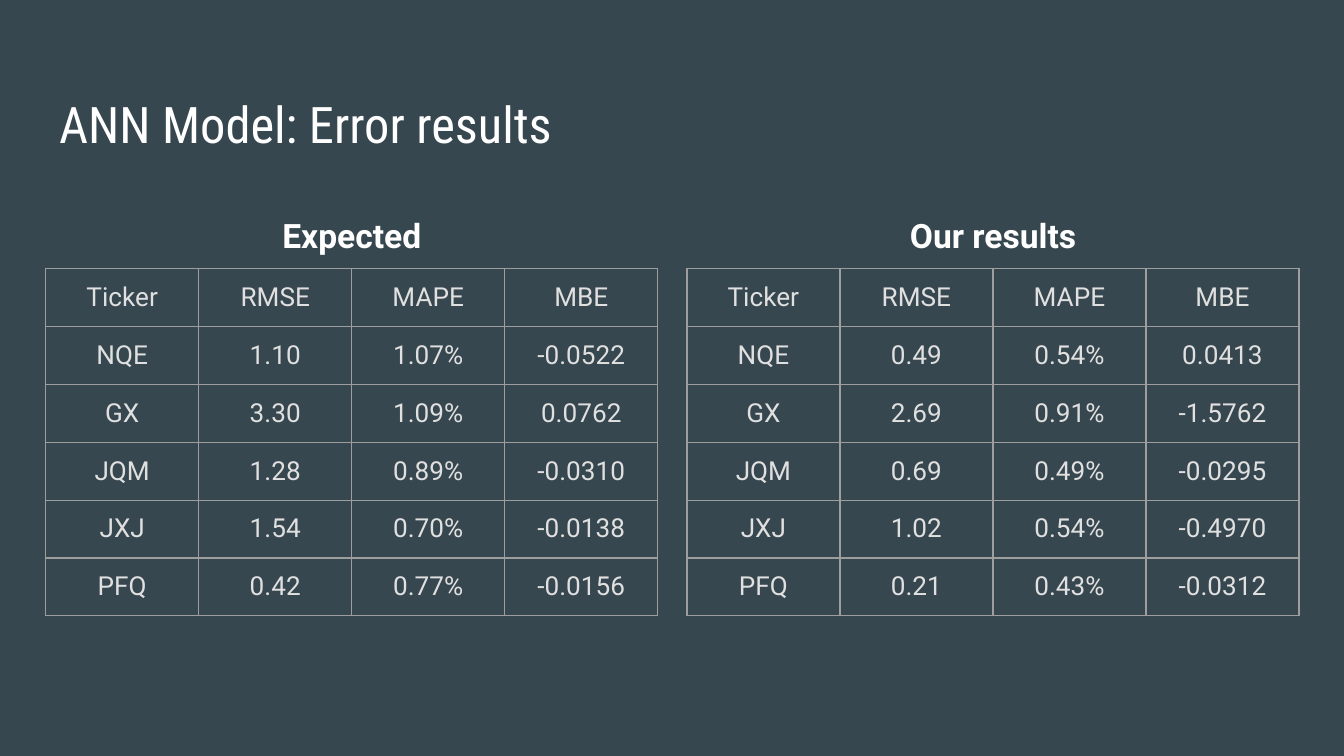
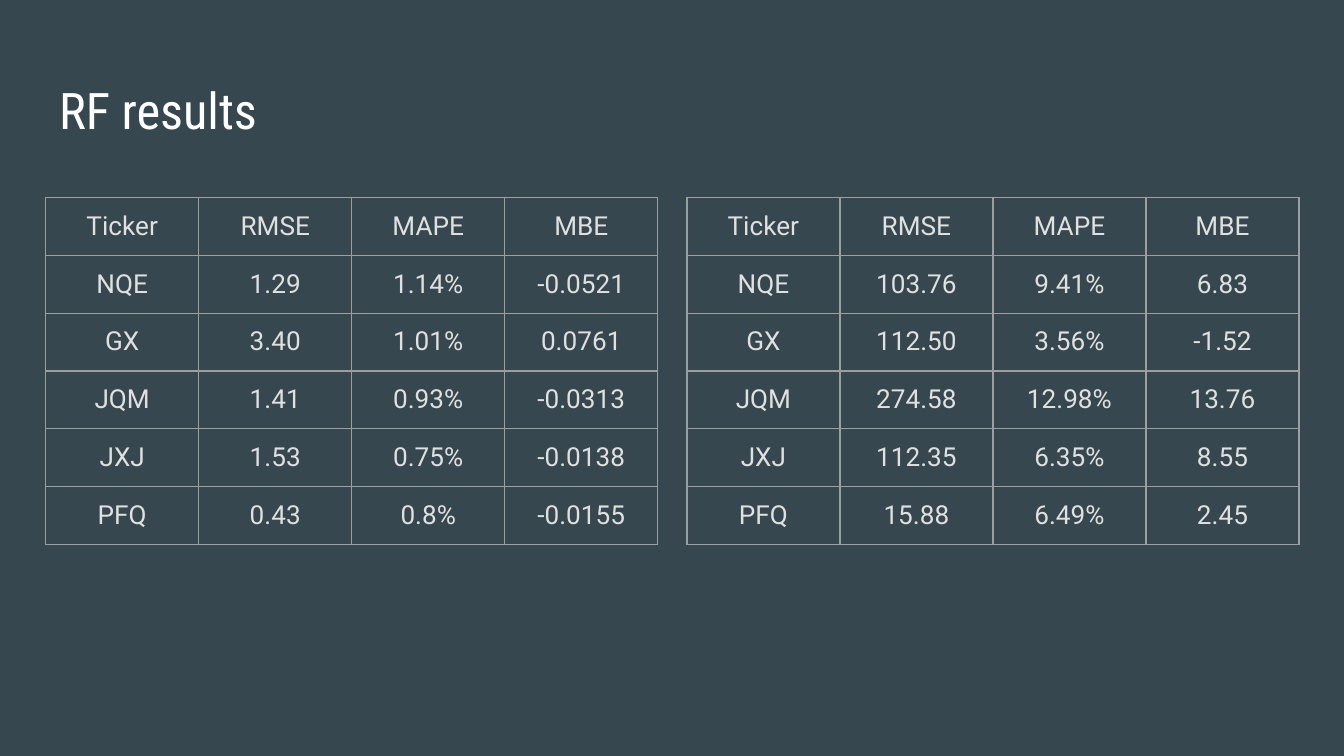
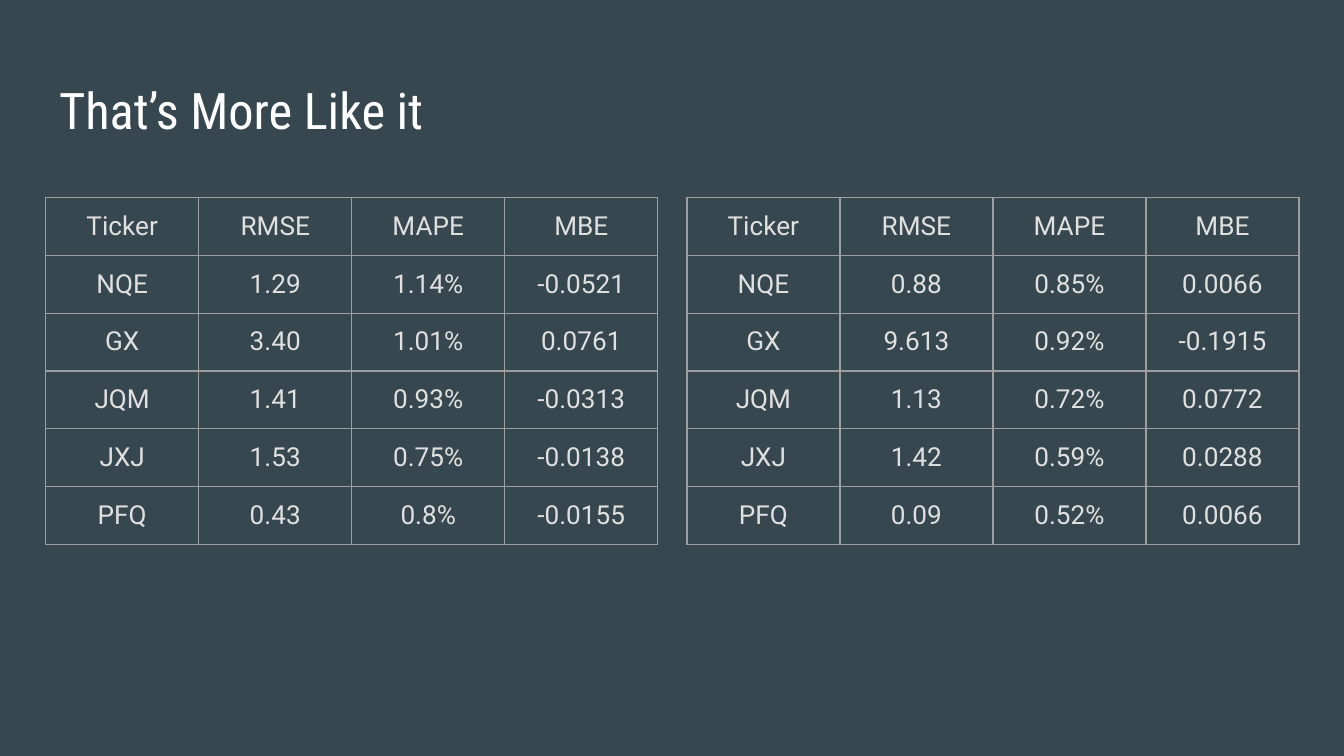
from dataclasses import dataclass

from lxml.etree import SubElement
from pptx import Presentation
from pptx.dml.color import RGBColor as RGB
from pptx.enum.text import MSO_ANCHOR as Anchor
from pptx.enum.text import MSO_AUTO_SIZE as AutoSize
from pptx.enum.text import PP_ALIGN as Align
from pptx.oxml.ns import qn
from pptx.util import Pt


@dataclass(frozen=True)
class Theme:
    background: str = "37474F"
    white: str = "FFFFFF"
    cell_text: str = "E0E0E0"
    border: str = "9E9E9E"
    title_font: str = "Roboto Condensed"
    body_font: str = "Roboto"
    title_size: float = 27
    heading_size: float = 18
    cell_size: float = 14
    border_width: float = 0.75
    inset: float = 7.2


THEME = Theme()

# Layout, in points
SLIDE_W, SLIDE_H = 720, 405
MARGIN = 24.5
COL_W, ROW_H = 82, 31
TABLE_W = 4 * COL_W
TABLE_LEFTS = (MARGIN, SLIDE_W - MARGIN - TABLE_W + 0.5)
TITLE_H, HEADING_H = 45, 36

# Error measures per ticker
HEADER = ("Ticker", "RMSE", "MAPE", "MBE")
TICKERS = ("NQE", "GX", "JQM", "JXJ", "PFQ")

ANN_EXPECTED = (
    ("1.10", "1.07%", "-0.0522"),
    ("3.30", "1.09%", "0.0762"),
    ("1.28", "0.89%", "-0.0310"),
    ("1.54", "0.70%", "-0.0138"),
    ("0.42", "0.77%", "-0.0156"),
)
ANN_OURS = (
    ("0.49", "0.54%", "0.0413"),
    ("2.69", "0.91%", "-1.5762"),
    ("0.69", "0.49%", "-0.0295"),
    ("1.02", "0.54%", "-0.4970"),
    ("0.21", "0.43%", "-0.0312"),
)
RF_EXPECTED = (
    ("1.29", "1.14%", "-0.0521"),
    ("3.40", "1.01%", "0.0761"),
    ("1.41", "0.93%", "-0.0313"),
    ("1.53", "0.75%", "-0.0138"),
    ("0.43", "0.8%", "-0.0155"),
)
RF_FIRST = (
    ("103.76", "9.41%", "6.83"),
    ("112.50", "3.56%", "-1.52"),
    ("274.58", "12.98%", "13.76"),
    ("112.35", "6.35%", "8.55"),
    ("15.88", "6.49%", "2.45"),
)
RF_IMPROVED = (
    ("0.88", "0.85%", "0.0066"),
    ("9.613", "0.92%", "-0.1915"),
    ("1.13", "0.72%", "0.0772"),
    ("1.42", "0.59%", "0.0288"),
    ("0.09", "0.52%", "0.0066"),
)


def set_text(tf, text, font, size, color, align=Align.CENTER, bold=False):
    """Fill a text frame with one formatted paragraph."""
    tf.text = text
    p = tf.paragraphs[0]
    p.alignment = align
    f = p.runs[0].font
    f.name, f.size, f.bold = font, Pt(size), bold
    f.color.rgb = RGB.from_string(color)


def set_insets(box):
    """Give a text frame or table cell equal insets."""
    box.margin_left = box.margin_right = Pt(THEME.inset)
    box.margin_top = box.margin_bottom = Pt(THEME.inset)


def add_slide(prs, title, top):
    """Add a slide with its title placeholder set."""
    s = prs.slides.add_slide(prs.slide_layouts[5])
    sp = s.shapes.title
    sp.left, sp.top = Pt(MARGIN), Pt(top)
    sp.width, sp.height = Pt(SLIDE_W - 2 * MARGIN), Pt(TITLE_H)
    tf = sp.text_frame
    tf.auto_size = AutoSize.NONE
    tf.vertical_anchor = Anchor.TOP
    set_insets(tf)
    set_text(tf, title, THEME.title_font, THEME.title_size, THEME.white,
             Align.LEFT)
    return s


def add_heading(s, text, left, top):
    """Add a bold heading centred above a table."""
    sp = s.shapes.add_textbox(Pt(left), Pt(top), Pt(TABLE_W), Pt(HEADING_H))
    tf = sp.text_frame
    tf.word_wrap = True
    tf.auto_size = AutoSize.SHAPE_TO_FIT_TEXT
    set_insets(tf)
    set_text(tf, text, THEME.body_font, THEME.heading_size, THEME.white,
             bold=True)


def set_borders(cell):
    """Draw a thin line on all four sides of a cell."""
    tc_pr = cell._tc.get_or_add_tcPr()
    for side in ("a:lnL", "a:lnR", "a:lnT", "a:lnB"):
        ln = SubElement(tc_pr, qn(side), w=str(Pt(THEME.border_width)))
        fill = SubElement(ln, qn("a:solidFill"))
        SubElement(fill, qn("a:srgbClr"), val=THEME.border)


def add_error_table(s, values, left, top):
    """Add a table of error measures, one row per ticker."""
    rows = [HEADER] + [(t, *v) for t, v in zip(TICKERS, values)]
    table = s.shapes.add_table(len(rows), len(HEADER), Pt(left), Pt(top),
                               Pt(TABLE_W), Pt(ROW_H * len(rows))).table
    table.first_row = table.horz_banding = False
    for r, row in enumerate(rows):
        for c, text in enumerate(row):
            cell = table.cell(r, c)
            set_insets(cell)
            set_text(cell.text_frame, text, THEME.body_font, THEME.cell_size,
                     THEME.cell_text)
            set_borders(cell)
            cell.fill.background()


def add_table_pair(s, pair, top):
    """Place two tables side by side."""
    for values, left in zip(pair, TABLE_LEFTS):
        add_error_table(s, values, left, top)


def main():
    prs = Presentation()
    prs.slide_width, prs.slide_height = Pt(SLIDE_W), Pt(SLIDE_H)
    bg = prs.slide_master.background.fill
    bg.solid()
    bg.fore_color.rgb = RGB.from_string(THEME.background)

    # ANN model, with headings
    s = add_slide(prs, "ANN Model: Error results", 42.5)
    add_table_pair(s, (ANN_EXPECTED, ANN_OURS), 144)
    for text, left in zip(("Expected", "Our results"), TABLE_LEFTS):
        add_heading(s, text, left, 108)

    # RF model, first and improved runs
    for title, ours in (("RF results", RF_FIRST),
                        ("That’s More Like it", RF_IMPROVED)):
        s = add_slide(prs, title, 35.3)
        add_table_pair(s, (RF_EXPECTED, ours), 105.8)

    prs.save("out.pptx")


if __name__ == "__main__":
    main()
